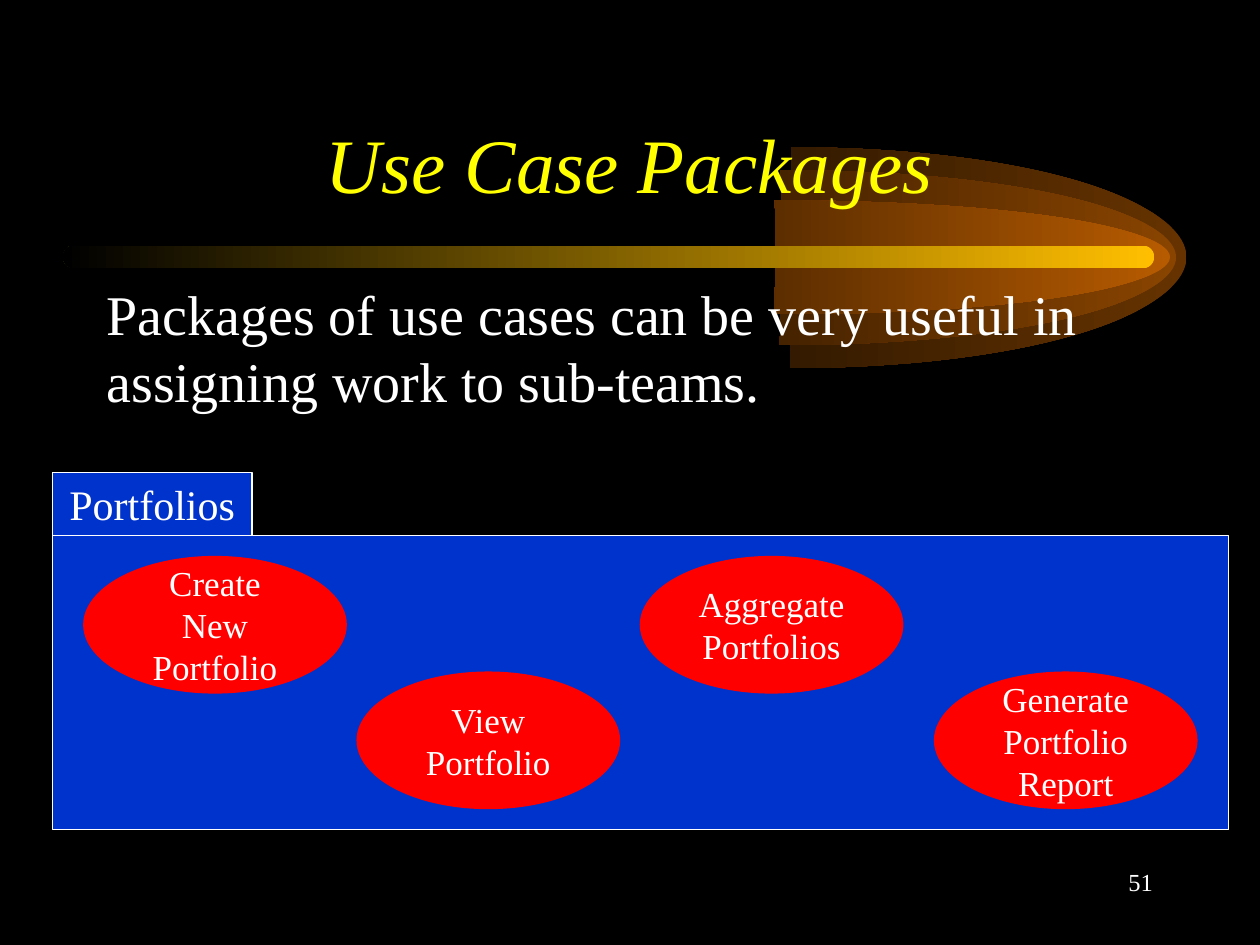
"""Builds the slide on use case packages, with its comet-shaped ornament."""
import dataclasses
import typing

import lxml.etree
import pptx
import pptx.dml.color
import pptx.enum.shapes
import pptx.enum.text
import pptx.oxml.ns
import pptx.util

Cm = pptx.util.Cm
Pt = pptx.util.Pt
Align = pptx.enum.text.PP_ALIGN
Anchor = pptx.enum.text.MSO_ANCHOR
Preset = pptx.enum.shapes.MSO_SHAPE
qn = pptx.oxml.ns.qn

FONT = "Times New Roman"
BLACK, WHITE, YELLOW, BLUE, RED = "000000", "FFFFFF", "FFFF00", "0033CC", "FF0000"
COMET_WIDTH = 15.9
COMET_START, COMET_CORE = (7.92, 0), (7.95, 0.5)
COMET_CURVES = (
    ((10.77, 0), (13.41, 0.09), (14.83, 0.25)),
    ((16.26, 0.41), (16.23, 0.59), (14.81, 0.75)),
    ((13.39, 0.91), (10.74, 1), (7.9, 1)),
)


class Box(typing.NamedTuple):
    left: float
    top: float
    width: float
    height: float


@dataclasses.dataclass
class CometLayer:
    left: float
    top: float
    height: float
    bright: str


@dataclasses.dataclass
class UseCase:
    left: float
    top: float
    lines: tuple[str, ...]


COMET_LAYERS = (
    CometLayer(8.03, 2.97, 4.45, "663300"),
    CometLayer(7.82, 3.43, 3.53, "894400"),
    CometLayer(7.7, 4.04, 2.3, "B75B00"),
)
UPPER, LOWER = 11.22, 13.55
USE_CASES = (
    UseCase(1.69, UPPER, ("Create", "New", "Portfolio")),
    UseCase(7.2, LOWER, ("View", "Portfolio")),
    UseCase(12.91, UPPER, ("Aggregate", "Portfolios")),
    UseCase(18.84, LOWER, ("Generate", "Portfolio", "Report")),
)


def color(code: str) -> pptx.dml.color.RGBColor:
    return pptx.dml.color.RGBColor.from_string(code)


def lengths(box: Box) -> list[pptx.util.Length]:
    return [Cm(value) for value in box]


def fade_to_black(shape, bright: str) -> None:
    shape.shadow.inherit = False
    shape.line.fill.background()
    shape.fill.gradient()
    shape.fill.gradient_angle = 180
    for stop, position, code in zip(shape.fill.gradient_stops, (0, 1), (bright, BLACK)):
        stop.position = position
        stop.color.rgb = color(code)


def add_step(outline, tag: str, points, height: float) -> None:
    step = lxml.etree.SubElement(outline, qn(tag))
    for x, y in points:
        lxml.etree.SubElement(step, qn("a:pt"), x=str(Cm(x)), y=str(Cm(y * height)))


def trace_comet(outline, height: float, closed: bool) -> None:
    add_step(outline, "a:moveTo", [COMET_START], height)
    for curve in COMET_CURVES:
        add_step(outline, "a:cubicBezTo", curve, height)
    if closed:
        add_step(outline, "a:lnTo", [COMET_CORE], height)
        add_step(outline, "a:close", [], height)


def draw_comet_layer(slide, layer: CometLayer) -> None:
    left, top, width, height = lengths(Box(layer.left, layer.top, COMET_WIDTH, layer.height))
    builder = slide.shapes.build_freeform(left, top)
    builder.add_line_segments([(left + width, top), (left + width, top + height)])
    comet = builder.convert_to_shape()
    body = comet.element.find(".//" + qn("a:path"))
    for corner in list(body):
        body.remove(corner)
    trace_comet(body, layer.height, closed=True)
    rim = lxml.etree.SubElement(body.getparent(), qn("a:path"), w=str(width), h=str(height),
                                fill="none")
    trace_comet(rim, layer.height, closed=False)
    fade_to_black(comet, layer.bright)


def write(shape, lines: tuple[str, ...], size: float, align, anchor=Anchor.MIDDLE,
          ink: str = WHITE, italic: bool = False, before: float = 0, wrap: bool = True) -> None:
    frame = shape.text_frame
    frame.word_wrap = wrap
    frame.vertical_anchor = anchor
    for index, line in enumerate(lines):
        paragraph = frame.add_paragraph() if index else frame.paragraphs[0]
        paragraph.alignment = align
        paragraph.space_before = Pt(before)
        run = paragraph.add_run()
        run.text = line
        run.font.name = FONT
        run.font.size = Pt(size)
        run.font.italic = italic
        run.font.color.rgb = color(ink)


def draw_solid(slide, preset, box: Box, fill: str, edge: str):
    shape = slide.shapes.add_shape(preset, *lengths(box))
    shape.shadow.inherit = False
    shape.fill.solid()
    shape.fill.fore_color.rgb = color(fill)
    shape.line.color.rgb = color(edge)
    shape.line.width = Pt(0.75)
    return shape


def draw_use_case(slide, case: UseCase) -> None:
    oval = draw_solid(slide, Preset.OVAL, Box(case.left, case.top, 5.29, 2.75), RED, RED)
    write(oval, case.lines, 20, Align.CENTER, wrap=False)


def main() -> None:
    deck = pptx.Presentation()
    deck.slide_width, deck.slide_height = Cm(25.4), Cm(19.05)
    slide = deck.slides.add_slide(deck.slide_layouts[6])
    slide.background.fill.solid()
    slide.background.fill.fore_color.rgb = color(BLACK)

    for layer in COMET_LAYERS:
        draw_comet_layer(slide, layer)
    beam = slide.shapes.add_shape(Preset.ROUNDED_RECTANGLE, *lengths(Box(1.27, 4.95, 22, 0.46)))
    beam.adjustments[0] = 0.5
    fade_to_black(beam, "FFBF00")

    title = slide.shapes.add_textbox(*lengths(Box(1.9, 1.69, 21.59, 3.18)))
    write(title, ("Use Case Packages",), 44, Align.CENTER, ink=YELLOW, italic=True)
    advice = slide.shapes.add_textbox(*lengths(Box(1.9, 5.51, 21.59, 11.43)))
    write(advice, ("Packages of use cases can be very useful in assigning work to sub-teams.",),
          32, Align.LEFT, Anchor.TOP, before=8)

    draw_solid(slide, Preset.RECTANGLE, Box(1.06, 10.8, 23.71, 5.93), BLUE, WHITE)
    package_tab = draw_solid(slide, Preset.RECTANGLE, Box(1.06, 9.52, 4.02, 1.27), BLUE, WHITE)
    write(package_tab, ("Portfolios",), 24, Align.CENTER, wrap=False)
    for case in USE_CASES:
        draw_use_case(slide, case)

    page_number = slide.shapes.add_textbox(*lengths(Box(18.2, 17.36, 5.29, 1.27)))
    write(page_number, ("51",), 14, Align.RIGHT, Anchor.TOP)
    deck.save("out.pptx")


if __name__ == "__main__":
    main()
